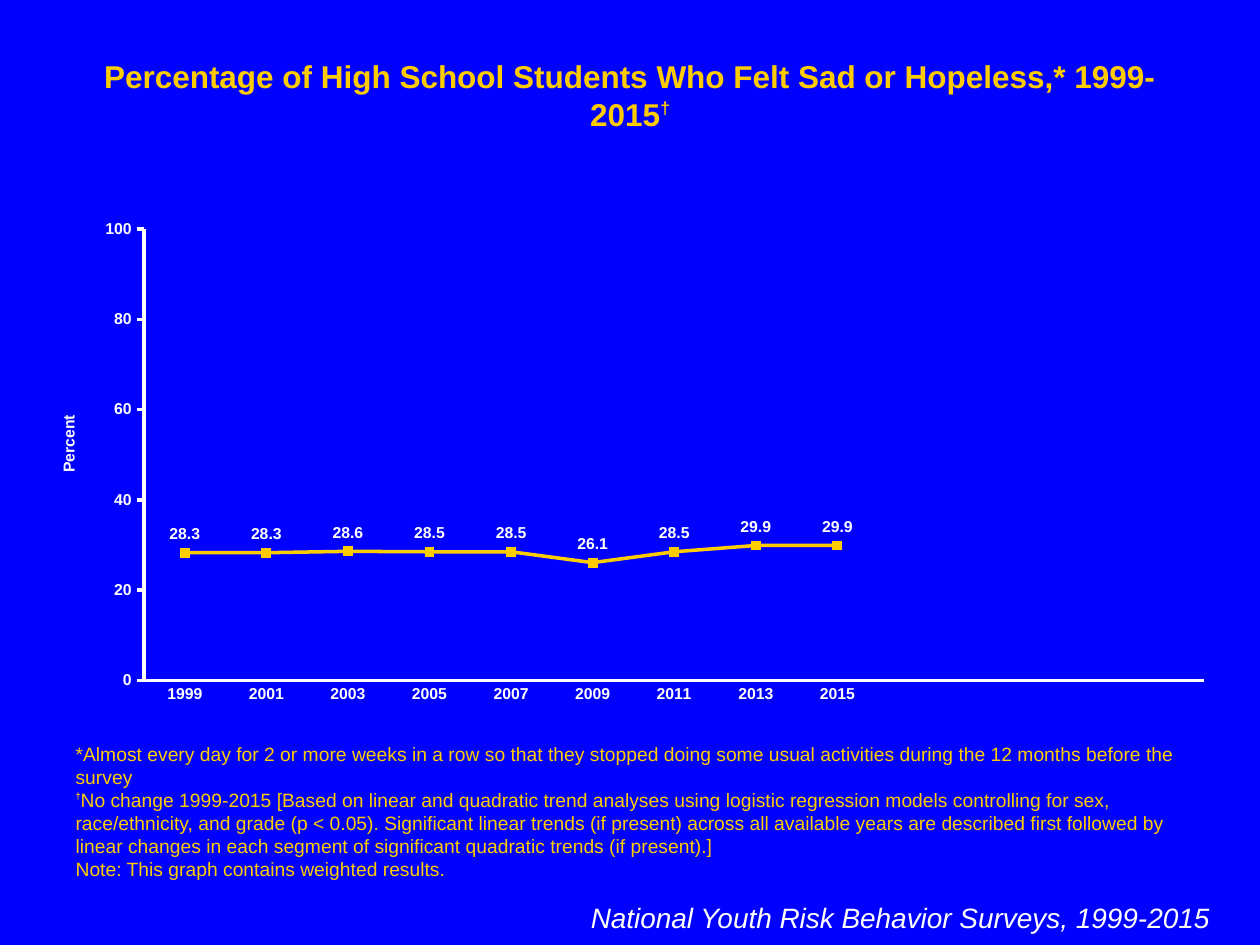
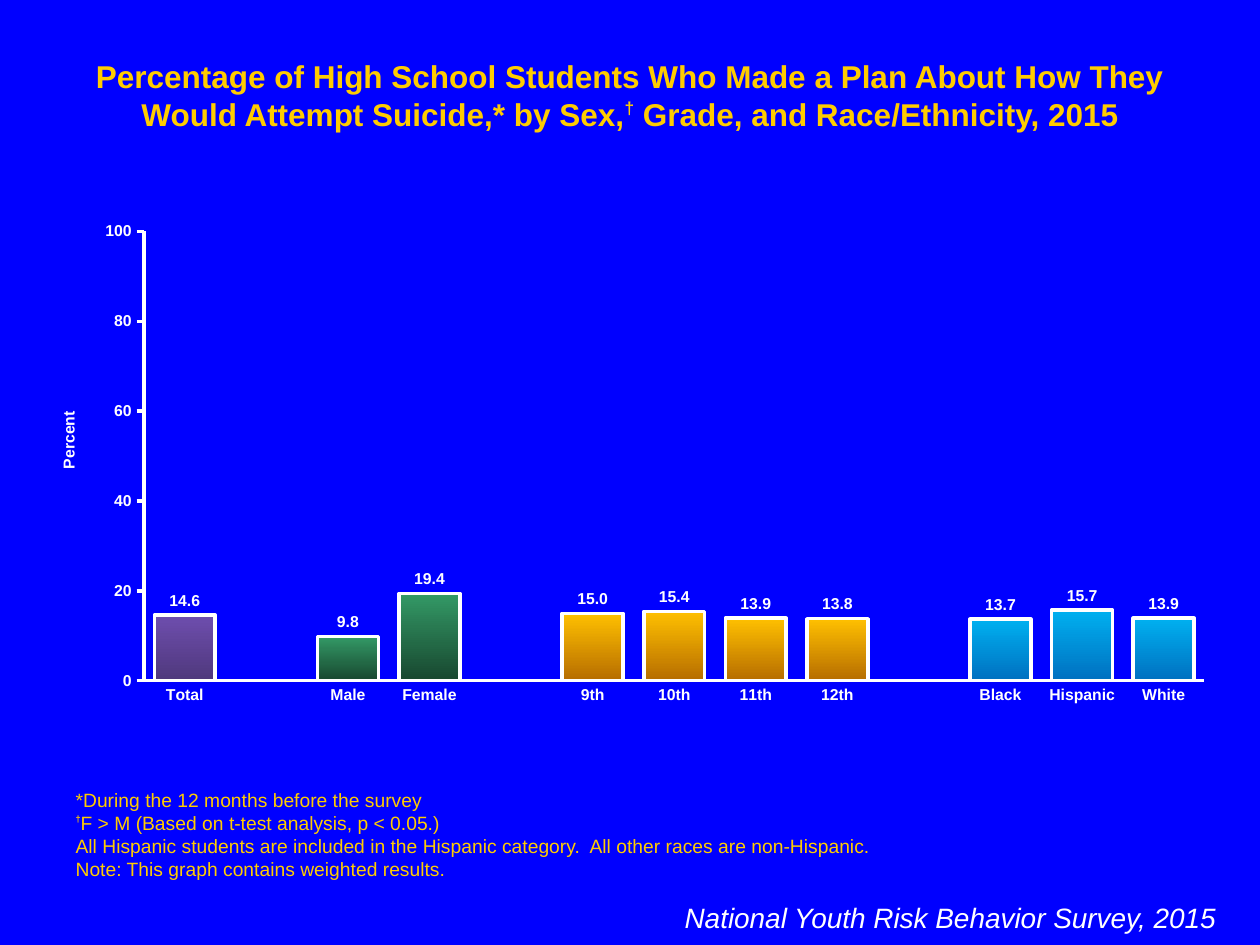
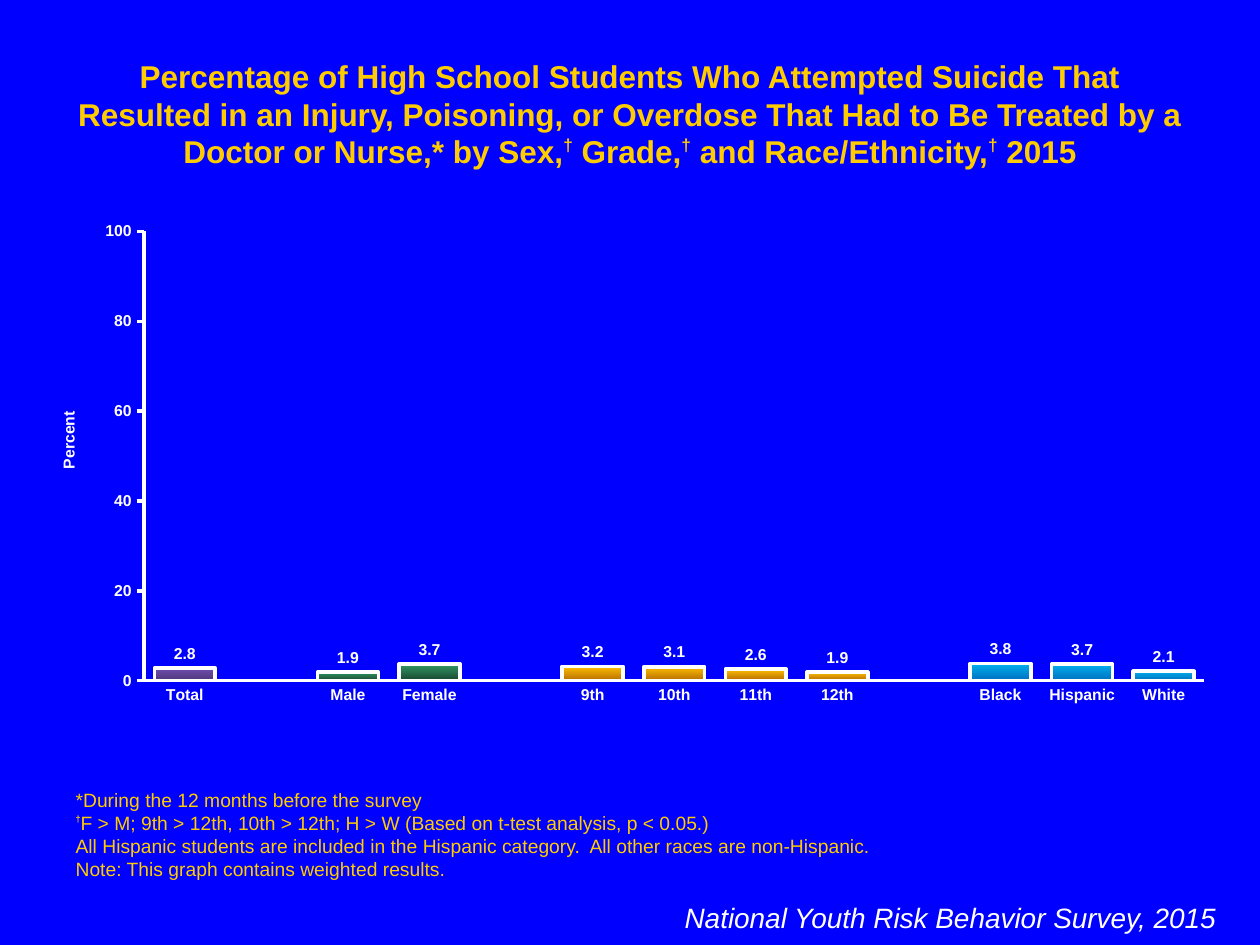
from dataclasses import dataclass
from typing import NamedTuple, Optional

from lxml.etree import SubElement
from pptx import Presentation
from pptx.chart.data import CategoryChartData
from pptx.dml.color import RGBColor
from pptx.enum.chart import (XL_CHART_TYPE, XL_LABEL_POSITION,
                             XL_MARKER_STYLE, XL_TICK_MARK)
from pptx.enum.text import MSO_ANCHOR, MSO_AUTO_SIZE, PP_ALIGN
from pptx.oxml.ns import qn
from pptx.util import Pt


# Theme: all colours and type sizes
@dataclass(frozen=True)
class Theme:
    font: str = "Arial"
    back: str = "0000FF"
    gold: str = "FFCC00"
    white: str = "FFFFFF"
    bar: str = "26CA59"
    title: int = 18
    note: int = 11
    foot: int = 16
    chart: int = 18
    label: int = 9
    line: int = 2


THEME = Theme()
MARK = "†"


class Box(NamedTuple):
    left: float
    top: float
    width: float
    height: float


class Style(NamedTuple):
    size: int
    color: str
    bold: bool = False
    slant: bool = False
    align: PP_ALIGN = PP_ALIGN.LEFT
    mark: int = 0  # size of the dagger
    lift: int = 0  # rise of the dagger, in percent


class Group(NamedTuple):
    names: list[str]
    top: str
    end: str


@dataclass
class Page:
    title: str
    notes: list[str]
    foot: str
    seat: Box
    vals: list[Optional[float]]
    trend: bool = False


HEAD = Style(THEME.title, THEME.gold, True, align=PP_ALIGN.CENTER, mark=17, lift=40)
NOTE = Style(THEME.note, THEME.gold, mark=9, lift=50)
FOOT = Style(THEME.foot, THEME.white, slant=True, align=PP_ALIGN.RIGHT)

TITLE_BOX = Box(36, 28.8, 648, 28.8)
NOTE_BOX = Box(36, 486, 648, 20.88)
TREND_FOOT = Box(326.16, 511.2, 372.24, 26.64)
GROUP_FOOT = Box(306, 511.2, 396, 26.64)
TREND_BOX = Box(18, 120.24, 684, 288)
GROUP_BOX = Box(18, 121.68, 684, 286.56)

YEARS = [str(year) for year in range(1999, 2016, 2)] + [""] * 4
GAP = Group([""], THEME.bar, THEME.bar)
GROUPS = [
    Group(["Total"], "6E4EAE", "4F387C"),
    GAP,
    Group(["Male", "Female"], "339966", "18472F"),
    GAP,
    Group(["9th", "10th", "11th", "12th"], "FFC000", "B66D00"),
    GAP,
    Group(["Black", "Hispanic", "White"], "00B0F0", "0070C0"),
]
BARS = [(name, group) for group in GROUPS for name in group.names]

WEIGHT = "Note: This graph contains weighted results."
SPAN = "*During the 12 months before the survey"
RACE = ("All Hispanic students are included in the Hispanic category.  "
        "All other races are non-Hispanic.")
SURVEY = "National Youth Risk Behavior Survey, 2015"

PAGES = [
    Page(
        "Percentage of High School Students Who Felt Sad or Hopeless,* 1999-2015†",
        ["*Almost every day for 2 or more weeks in a row so that they stopped doing "
         "some usual activities during the 12 months before the survey",
         "†No change 1999-2015 [Based on linear and quadratic trend analyses using "
         "logistic regression models controlling for sex, race/ethnicity, and grade "
         "(p < 0.05). Significant linear trends (if present) across all available "
         "years are described first followed by linear changes in each segment of "
         "significant quadratic trends (if present).]",
         WEIGHT],
        "National Youth Risk Behavior Surveys, 1999-2015", TREND_FOOT,
        [28.3, 28.3, 28.6, 28.5, 28.5, 26.1, 28.5, 29.9, 29.9] + [None] * 4,
        trend=True),
    Page(
        "Percentage of High School Students Who Made a Plan About How They Would "
        "Attempt Suicide,* by Sex,† Grade, and Race/Ethnicity, 2015",
        [SPAN, "†F > M (Based on t-test analysis, p < 0.05.)", RACE, WEIGHT],
        SURVEY, GROUP_FOOT,
        [14.6, None, 9.8, 19.4, None, 15.0, 15.4, 13.9, 13.8, None, 13.7, 15.7, 13.9]),
    Page(
        "Percentage of High School Students Who Attempted Suicide That Resulted in "
        "an Injury, Poisoning, or Overdose That Had to Be Treated by a Doctor or "
        "Nurse,* by Sex,† Grade,† and Race/Ethnicity,† 2015",
        [SPAN, "†F > M; 9th > 12th, 10th > 12th; H > W (Based on t-test analysis, "
         "p < 0.05.)", RACE, WEIGHT],
        SURVEY, GROUP_FOOT,
        [2.8, None, 1.9, 3.7, None, 3.2, 3.1, 2.6, 1.9, None, 3.8, 3.7, 2.1]),
]


# Text
def tint(color: str) -> RGBColor:
    return RGBColor.from_string(color)


def dress(font, size: int, color: str, bold: bool, slant: bool = False) -> None:
    font.name, font.size = THEME.font, Pt(size)
    font.bold, font.italic = bold, slant
    font.color.rgb = tint(color)


def place(shape, box: Box) -> None:
    shape.left, shape.top, shape.width, shape.height = map(Pt, box)


def write(shape, lines: list[str], style: Style, anchor=MSO_ANCHOR.TOP) -> None:
    frame = shape.text_frame
    frame.word_wrap = True
    frame.auto_size = MSO_AUTO_SIZE.SHAPE_TO_FIT_TEXT
    frame.vertical_anchor = anchor
    for i, line in enumerate(lines):
        para = frame.add_paragraph() if i else frame.paragraphs[0]
        props = para._p.get_or_add_pPr()
        props.set("marL", "0")
        props.set("indent", "0")
        SubElement(props, qn("a:buNone"))
        para.alignment = style.align
        para.space_before = Pt(0)
        for part in filter(None, line.replace(MARK, f"\n{MARK}\n").split("\n")):
            run = para.add_run()
            run.text = part
            raised = part == MARK
            dress(run.font, style.mark if raised else style.size, style.color,
                  style.bold or raised, style.slant)
            if raised:
                run._r.get_or_add_rPr().set("baseline", str(style.lift * 1000))


# Charts
def lay(node, slot: int, inner: bool = False, **parts: float) -> None:
    """Give a chart part a manual layout, in fractions of the chart."""
    for old in node.findall(qn("c:layout")):
        node.remove(old)
    layout = SubElement(node, qn("c:layout"))
    node.insert(slot, layout)
    manual = SubElement(layout, qn("c:manualLayout"))
    if inner:
        SubElement(manual, qn("c:layoutTarget")).set("val", "inner")
    for key in ("x", "y"):
        SubElement(manual, qn(f"c:{key}Mode")).set("val", "edge")
    for key, size in parts.items():
        SubElement(manual, qn(f"c:{key}")).set("val", str(size))


def stroke(line, color: str = THEME.white) -> None:
    line.color.rgb = tint(color)
    line.width = Pt(THEME.line)


def set_axes(chart, height: float) -> None:
    years, scale = chart.category_axis, chart.value_axis
    for axis, tick in ((years, XL_TICK_MARK.NONE), (scale, XL_TICK_MARK.OUTSIDE)):
        axis.has_major_gridlines = False
        axis.major_tick_mark, axis.minor_tick_mark = tick, XL_TICK_MARK.NONE
        dress(axis.tick_labels.font, THEME.label, THEME.white, True)
        stroke(axis.format.line)
    scale.minimum_scale, scale.maximum_scale, scale.major_unit = 0, 100, 20
    scale.tick_labels.number_format = "#,##0"
    scale.tick_labels.number_format_is_linked = False
    title = scale.axis_title
    title.text_frame.text = "Percent"
    dress(title.text_frame.paragraphs[0].runs[0].font, THEME.label, THEME.white, True)
    body = title._element.find(".//" + qn("a:bodyPr"))
    body.set("rot", "-5400000")
    body.set("vert", "horz")
    lay(title._element, 1, x=0.02, y=height)


def style_trend(series) -> None:
    series.smooth = False
    stroke(series.format.line, THEME.gold)
    marker = series.marker
    marker.style, marker.size = XL_MARKER_STYLE.SQUARE, 5
    marker.format.fill.solid()
    marker.format.fill.fore_color.rgb = tint(THEME.gold)
    marker.format.line.color.rgb = tint(THEME.white)


def style_bars(plot, series) -> None:
    plot.gap_width, plot.overlap = 34, 100
    series.format.fill.solid()
    series.format.fill.fore_color.rgb = tint(THEME.bar)
    stroke(series.format.line)
    for i, (name, group) in enumerate(BARS):
        if not name:
            continue
        look = series.points[i].format
        look.fill.gradient()
        look.fill.gradient_angle = 270
        for stop, color in zip(look.fill.gradient_stops, (group.top, group.end)):
            stop.color.rgb = tint(color)
        stroke(look.line)


def draw_chart(slide, page: Page) -> None:
    data = CategoryChartData(number_format="#,##0.0")
    data.categories = YEARS if page.trend else [name for name, _ in BARS]
    data.add_series("Series 1", page.vals)
    kind = XL_CHART_TYPE.LINE_MARKERS if page.trend else XL_CHART_TYPE.COLUMN_CLUSTERED
    box = TREND_BOX if page.trend else GROUP_BOX
    chart = slide.shapes.add_chart(kind, *map(Pt, box), data).chart
    chart.has_legend = chart.has_title = False
    dress(chart.font, THEME.chart, THEME.white, False)
    set_axes(chart, 0.4 if page.trend else 0.39)
    lay(chart._chartSpace.chart.plotArea, 0, True, x=0.094, y=0.037, w=0.886, h=0.896)

    plot = chart.plots[0]
    plot.vary_by_categories = False
    series = plot.series[0]
    if page.trend:
        style_trend(series)
    else:
        style_bars(plot, series)
    labels = series.data_labels
    labels.show_value = True
    labels.number_format, labels.number_format_is_linked = "#,##0.0", False
    labels.position = (XL_LABEL_POSITION.ABOVE if page.trend
                       else XL_LABEL_POSITION.OUTSIDE_END)
    dress(labels.font, THEME.label, THEME.white, True)


# Slides
def draw_page(deck, page: Page) -> None:
    slide = deck.slides.add_slide(deck.slide_layouts[1])
    title, notes = slide.shapes.title, slide.placeholders[1]
    place(title, TITLE_BOX)
    write(title, [page.title], HEAD)
    place(notes, NOTE_BOX)
    write(notes, page.notes, NOTE, MSO_ANCHOR.BOTTOM)
    foot = slide.shapes.add_textbox(*map(Pt, page.seat))
    write(foot, [page.foot], FOOT)
    draw_chart(slide, page)


def main() -> None:
    deck = Presentation()
    deck.slide_width, deck.slide_height = Pt(720), Pt(540)
    fill = deck.slide_master.background.fill
    fill.solid()
    fill.fore_color.rgb = tint(THEME.back)
    for page in PAGES:
        draw_page(deck, page)
    deck.save("out.pptx")


if __name__ == "__main__":
    main()
